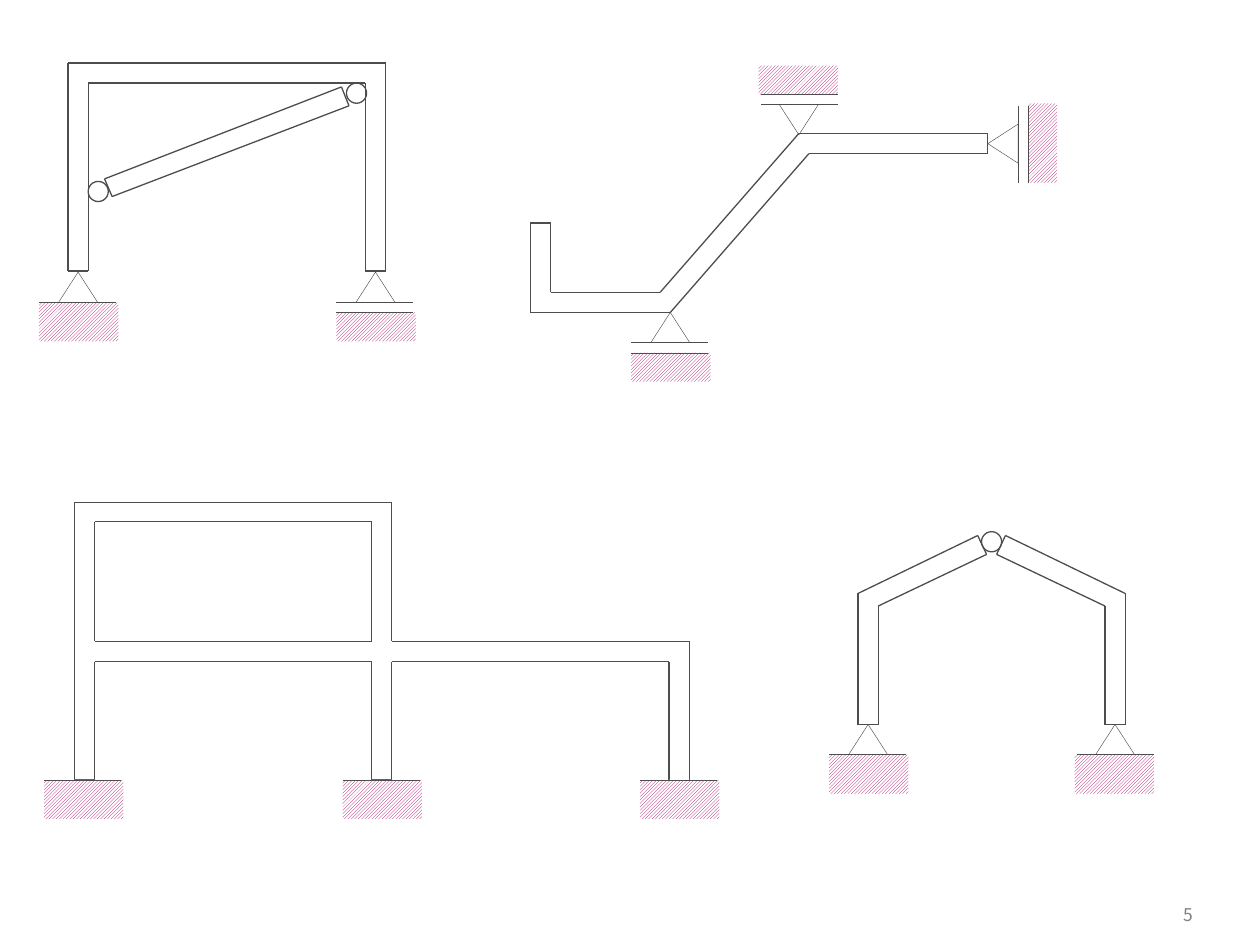
import math
from itertools import pairwise

from lxml import etree
from pptx import Presentation
from pptx import util as u
from pptx.dml import color
from pptx.enum import dml, shapes, text
from pptx.oxml import ns

PX = u.Inches(1) // 100
INK, HATCH, PAPER, GRAY = "4D4D4D", "A90165", "FFFFFF", "808080"
MEMBER, THIN = {"width": u.Pt(0.75)}, {"width": u.Pt(0.25)}
SUPPORTS = {
    "fixed": {"lines": (0,), "height": 31},
    "pin": {"lines": (24,), "height": 31},
    "roller": {"lines": (24, 32), "height": 23},
}


def rgb(value):
    return color.RGBColor.from_string(value)


def apply(target, values):
    for name, value in values.items():
        setattr(target, name, value)


class Drawing:
    def __init__(self, slide):
        self.slide = slide
        self.shapes = slide.shapes

    def group(self):
        self.shapes = self.slide.shapes.add_group_shape().shapes

    def stroke(self, shape, style):
        shape.line.color.rgb = rgb(INK)
        apply(shape.line, style)

    def polyline(self, *points, style=MEMBER):
        for start, end in pairwise(points):
            ends = [round(value * PX) for value in (*start, *end)]
            line = self.shapes.add_connector(shapes.MSO_CONNECTOR.STRAIGHT, *ends)
            self.stroke(line, style)
            etree.SubElement(line._element.spPr, ns.qn("a:effectLst"))

    def outline(self, kind, x, y, width, height, style=MEMBER, angle=0):
        box = [round(value * PX) for value in (x, y, width, height)]
        shape = self.shapes.add_shape(kind, *box)
        shape.shadow.inherit = False
        shape.rotation = angle
        shape.fill.background()
        if style:
            self.stroke(shape, style)
        else:
            shape.line.fill.background()
        return shape

    def hinge(self, x, y):
        self.outline(shapes.MSO_SHAPE.OVAL, x, y, 16, 16)

    def support(self, kind, x, y, angle=0, mirror=1):
        sine, cosine = math.sin(math.radians(angle)), math.cos(math.radians(angle))

        def place(along, depth):
            along *= mirror
            return (x + along * cosine - depth * sine,
                    y + along * sine + depth * cosine)

        def block(shape_kind, along, depth, width, height, style):
            center_x, center_y = place(along, depth + height / 2)
            return self.outline(shape_kind, center_x - width / 2, center_y - height / 2,
                                width, height, style, angle)

        lines, height = SUPPORTS[kind]["lines"], SUPPORTS[kind]["height"]
        ground = block(shapes.MSO_SHAPE.RECTANGLE, 0.5, lines[-1], 63, height, None)
        ground.fill.patterned()
        ground.fill.pattern = dml.MSO_PATTERN.LIGHT_UPWARD_DIAGONAL
        ground.fill.fore_color.rgb = rgb(HATCH)
        ground.fill.back_color.rgb = rgb(PAPER)
        for depth in lines:
            self.polyline(place(-31, depth), place(30, depth), style=THIN)
        if kind != "fixed":
            block(shapes.MSO_SHAPE.ISOSCELES_TRIANGLE, 0, 0, 31, 24, THIN)

    def label(self, words, x, y, width, height):
        box = self.slide.shapes.add_textbox(*(value * PX for value in (x, y, width, height)))
        apply(box.text_frame, {"word_wrap": True,
                               "vertical_anchor": text.MSO_ANCHOR.MIDDLE})
        paragraph = box.text_frame.paragraphs[0]
        paragraph.alignment = text.PP_ALIGN.RIGHT
        run = paragraph.add_run()
        run.text = words
        apply(run.font, {"name": "Noto Sans CJK KR", "size": u.Pt(10)})
        run.font.color.rgb = rgb(GRAY)


def braced_portal(drawing):
    drawing.group()
    drawing.polyline((70, 215), (54, 215), (54, 50), (306, 50), (306, 215), (290, 215))
    drawing.polyline((70, 215), (70, 66), (290, 66), (290, 215))
    drawing.polyline((83, 142), (89, 156), (277, 84), (271, 69), (83, 142))
    drawing.hinge(275, 66)
    drawing.hinge(70, 144)
    drawing.support("pin", 62, 216)
    drawing.support("roller", 298, 216)


def bent_beam(drawing):
    drawing.group()
    drawing.polyline((784, 106), (634, 106), (524, 232), (437, 232), (437, 177),
                     (421, 177), (421, 248), (532, 248), (642, 122), (784, 122), (784, 106))
    drawing.support("roller", 634, 107, angle=180)
    drawing.support("roller", 784, 114, angle=270)
    drawing.support("roller", 532, 248)


def two_storey_frame(drawing):
    drawing.group()
    drawing.polyline((75, 525), (75, 619), (59, 619), (59, 399),
                     (311, 399), (311, 509), (547, 509), (547, 619))
    drawing.polyline((75, 414), (295, 414), (295, 509), (75, 509), (75, 414))
    drawing.polyline((75, 525), (295, 525), (295, 619), (311, 619),
                     (311, 525), (531, 525), (531, 619))
    for x in (66, 303, 539):
        drawing.support("fixed", x, 619)


def gable_frame(drawing):
    drawing.group()
    ridge = 787
    drawing.hinge(ridge - 8, 422)
    half = ((-11, 425), (-4, 440), (-90, 481), (-90, 575), (-106, 575), (-106, 471), (-11, 425))
    for side in (1, -1):
        drawing.polyline(*((ridge + side * x, y) for x, y in half))
        drawing.support("pin", ridge - side * 98, 575, mirror=side)


def main():
    presentation = Presentation()
    apply(presentation, {"slide_width": 1000 * PX, "slide_height": 750 * PX})
    drawing = Drawing(presentation.slides.add_slide(presentation.slide_layouts[6]))
    drawing.label("5", 886, 709, 71, 33)
    for draw in (braced_portal, bent_beam, two_storey_frame, gable_frame):
        draw(drawing)
    presentation.save("out.pptx")


if __name__ == "__main__":
    main()
